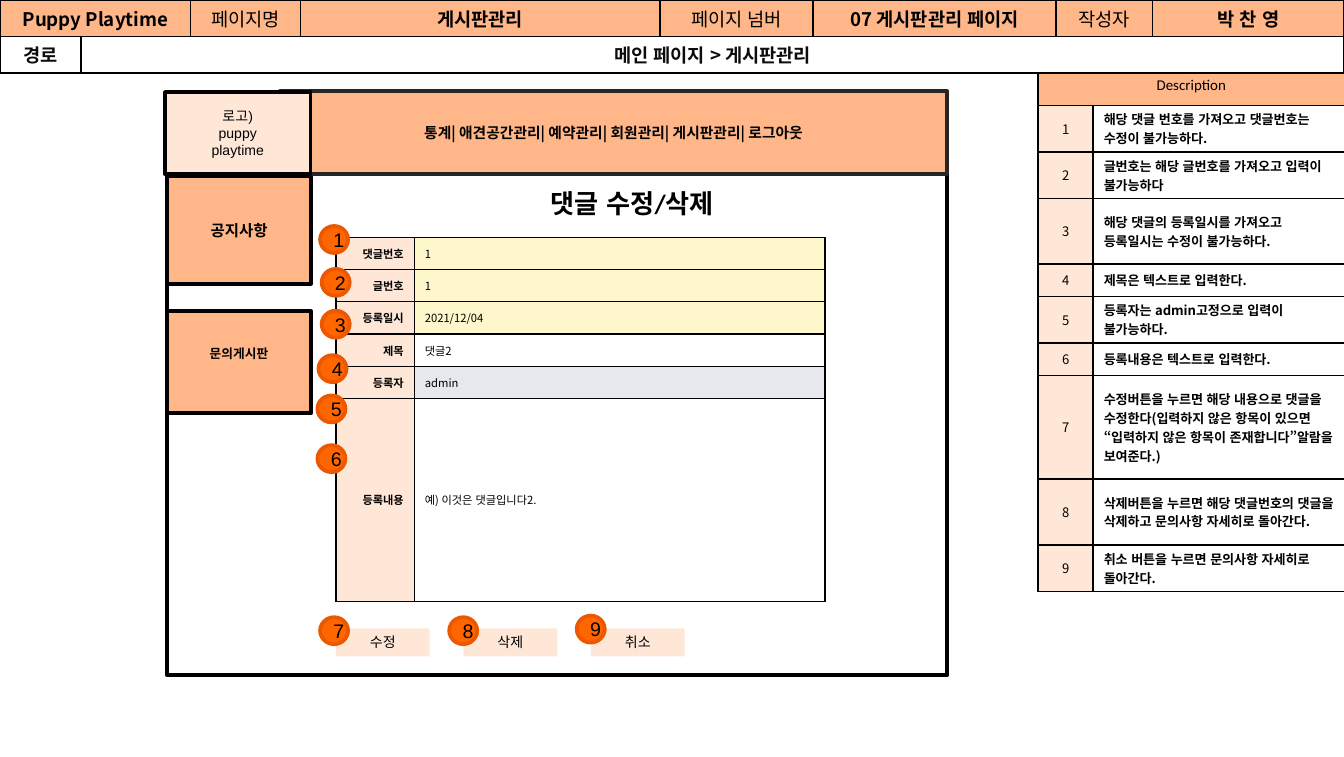
from dataclasses import dataclass

from lxml import etree
from pptx import Presentation
from pptx.dml.color import RGBColor
from pptx.enum.lang import MSO_LANGUAGE_ID
from pptx.enum.shapes import MSO_SHAPE
from pptx.enum.text import MSO_ANCHOR, PP_ALIGN
from pptx.oxml.ns import qn
from pptx.slide import Slide
from pptx.util import Cm, Pt

RECTANGLE, OVAL = MSO_SHAPE.RECTANGLE, MSO_SHAPE.OVAL
LEFT, CENTER, RIGHT = PP_ALIGN.LEFT, PP_ALIGN.CENTER, PP_ALIGN.RIGHT
TOP, MIDDLE = MSO_ANCHOR.TOP, MSO_ANCHOR.MIDDLE
KOREAN = MSO_LANGUAGE_ID.KOREAN
KOREAN_FONT = "Noto Sans CJK KR"

DESCRIPTIONS = [
    "해당 댓글 번호를 가져오고 댓글번호는 수정이 불가능하다.",
    "글번호는 해당 글번호를 가져오고 입력이 불가능하다",
    "해당 댓글의 등록일시를 가져오고 등록일시는 수정이 불가능하다.",
    "제목은 텍스트로 입력한다.",
    "등록자는 admin고정으로 입력이 불가능하다.",
    "등록내용은 텍스트로 입력한다.",
    "수정버튼을 누르면 해당 내용으로 댓글을 수정한다(입력하지 않은 항목이 있으면 "
    "“입력하지 않은 항목이 존재합니다”알람을 보여준다.)",
    "삭제버튼을 누르면 해당 댓글번호의 댓글을 삭제하고 문의사항 자세히로 돌아간다.",
    "취소 버튼을 누르면 문의사항 자세히로 돌아간다.",
]
DESCRIPTION_HEIGHTS = [0.74, 0.88, 0.88, 1.24, 0.61, 0.88, 0.61, 1.96, 1.24, 0.88]
MARKERS = [(6.05, 4.27), (6.08, 5.08), (6.08, 5.87), (6.02, 6.71), (6.0, 7.47),
           (6.0, 8.41), (6.05, 11.66), (8.49, 11.66), (10.9, 11.63)]


def rgb(color):
    """Return the colour for a hex string."""
    return RGBColor.from_string(color)


def write(frame, text, size=8, font=KOREAN_FONT, color="000000", bold=False, align=CENTER):
    """Write each line of text as a formatted paragraph."""
    for index, line in enumerate(text.split("\n")):
        paragraph = frame.add_paragraph() if index else frame.paragraphs[0]
        paragraph.alignment = align
        run = paragraph.add_run()
        run.text = line
        run.font.size, run.font.name, run.font.bold = Pt(size), font, bold
        run.font.color.rgb = rgb(color)
        run.font.language_id = KOREAN
        etree.SubElement(run.font._element, qn("a:ea"), typeface=KOREAN_FONT)


def set_margins(target, side, vertical):
    """Set the inner margins of a cell or text frame."""
    target.margin_left = target.margin_right = Cm(side)
    target.margin_top = target.margin_bottom = Cm(vertical)


def set_borders(cell, color, width):
    """Draw all four borders of a table cell."""
    properties = cell._tc.get_or_add_tcPr()
    for side in ("a:lnL", "a:lnR", "a:lnT", "a:lnB"):
        line = etree.SubElement(properties, qn(side), w=str(Pt(width)))
        fill = etree.SubElement(line, qn("a:solidFill"))
        etree.SubElement(fill, qn("a:srgbClr"), val=color)


@dataclass
class Wireframe:
    """Hold the style and the current slide."""

    slide: Slide
    black: str = "000000"
    white: str = "FFFFFF"
    orange: str = "FFB689"
    peach: str = "FFE7D8"
    yellow: str = "FFF7CC"
    gray: str = "E6E8EE"

    def box(self, left, top, width, height, fill, text="", line=None, kind=RECTANGLE,
            bottom=0.1, **style):
        """Add a filled shape with optional outline and text."""
        shape = self.slide.shapes.add_shape(kind, Cm(left), Cm(top), Cm(width), Cm(height))
        shape.shadow.inherit = False
        shape.fill.solid()
        shape.fill.fore_color.rgb = rgb(fill)
        if line:
            shape.line.color.rgb = rgb(line)
            shape.line.width = Pt(2)
        else:
            shape.line.fill.background()
        frame = shape.text_frame
        frame.word_wrap = True
        frame.vertical_anchor = MIDDLE
        set_margins(frame, 0.2, 0.1)
        frame.margin_bottom = Cm(bottom)
        if text:
            write(frame, text, **style)

    def marker(self, number, left, top):
        """Add a numbered round marker."""
        self.box(left, top, 0.53, 0.51, "FF6600", str(number), "EB5800", OVAL,
                 size=10.5, font="Arial")

    def table(self, left, top, widths, heights, rows, merges=(), margins=(0.2, 0.1),
              border=1, anchors=None):
        """Add a table whose cells are (text, fill, format) triples."""
        frame = self.slide.shapes.add_table(len(heights), len(widths), Cm(left), Cm(top),
                                            Cm(sum(widths)), Cm(sum(heights)))
        table = frame.table
        table.first_row = table.horz_banding = False
        for column, width in zip(table.columns, widths):
            column.width = Cm(width)
        for row, height in zip(table.rows, heights):
            row.height = Cm(height)
        for row_index, first, last in merges:
            table.cell(row_index, first).merge(table.cell(row_index, last))
        for row_index, row in enumerate(rows):
            for column_index, (text, fill, style) in enumerate(row):
                cell = table.cell(row_index, column_index)
                set_borders(cell, self.black, border)
                cell.fill.solid()
                cell.fill.fore_color.rgb = rgb(fill)
                cell.vertical_anchor = anchors[row_index] if anchors else MIDDLE
                set_margins(cell, *margins)
                if text:
                    write(cell.text_frame, text, **style)

    def title(self, left, top, width, height, text, **style):
        """Add an unwrapped heading."""
        frame = self.slide.shapes.add_textbox(Cm(left), Cm(top), Cm(width), Cm(height)).text_frame
        frame.word_wrap = False
        write(frame, text, **style)


def add_descriptions(page):
    """Add the numbered description table."""
    rows = [[("Description", page.orange, {"font": "Calibri"}), ("", page.orange, {})]]
    for number, text in enumerate(DESCRIPTIONS, 1):
        rows.append([(str(number), page.peach, {"size": 7}),
                     (text, page.white, {"size": 7, "bold": True, "align": LEFT})])
    page.table(19.62, 1.25, [1.04, 4.75], DESCRIPTION_HEIGHTS, rows,
               merges=[(0, 0, 1)], margins=(0.2, 0.07))


def add_screen(page):
    """Add the screen layout with its menus."""
    page.box(3.16, 3.29, 14.74, 9.47, page.white, line=page.black)
    page.box(3.16, 5.88, 2.72, 1.93, page.orange, "문의게시판", page.black,
             bottom=0.44, size=6.8, font="Arial", bold=True)
    page.box(3.16, 3.33, 2.72, 2.03, page.orange, "공지사항", page.black, size=8.3, bold=True)
    page.box(5.29, 1.72, 12.61, 1.57, page.orange,
             "통계| 애견공간관리| 예약관리| 회원관리| 게시판관리| 로그아웃", "262626",
             size=7.9, bold=True)
    page.box(3.12, 1.74, 2.75, 1.55, page.peach, "로고)\npuppy\nplaytime", page.black,
             size=7.5, font="Arial")


def add_form(page):
    """Add the comment form, its buttons and the markers."""
    fields = [("댓글번호", "1", page.yellow), ("글번호", "1", page.yellow),
              ("등록일시", "2021/12/04", page.yellow), ("제목", "댓글2", page.white),
              ("등록자", "admin", page.gray), ("등록내용", "예) 이것은 댓글입니다2.", page.white)]
    rows = [[(label, page.peach, {"size": 6, "bold": True, "align": RIGHT}),
             (value, fill, {"size": 6, "align": LEFT})] for label, value, fill in fields]
    page.table(6.35, 4.48, [1.48, 7.76], [0.61] * 5 + [3.83], rows, border=0.75)
    for index, label in enumerate(["수정", "삭제", "취소"]):
        page.box(6.35 + 2.41 * index, 11.87, 1.77, 0.53, page.peach, label,
                 size=7.5, font="Times New Roman")
    for number, (left, top) in enumerate(MARKERS, 1):
        page.marker(number, left, top)


def add_header(page):
    """Add the page information table."""
    labels = ["Puppy Playtime", "", "페이지명", "게시판관리", "페이지 넘버",
              "07 게시판관리 페이지", "작성자", "박 찬 영"]
    plain = {"페이지명", "페이지 넘버", "작성자"}
    information = [(label, page.orange, {"size": 10, "bold": label not in plain})
                   for label in labels]
    route = [(label, page.white, {"size": 10, "bold": True, "color": "0C0C0C"})
             for label in ["경로", "메인 페이지 > 게시판관리"] + [""] * 6]
    page.table(0, 0, [1.53, 2.07, 2.08, 6.79, 2.9, 4.59, 1.82, 3.62], [0.61] * 2,
               [information, route], merges=[(0, 0, 1), (1, 1, 7)],
               margins=(0.23, 0.09), anchors=[TOP, MIDDLE])


def main():
    """Build and save the presentation."""
    presentation = Presentation()
    presentation.slide_width, presentation.slide_height = Cm(25.4), Cm(14.3)
    page = Wireframe(presentation.slides.add_slide(presentation.slide_layouts[6]))
    add_descriptions(page)
    add_screen(page)
    add_form(page)
    add_header(page)
    page.title(10.16, 3.41, 3.84, 0.86, "댓글 수정/삭제", size=14, font="Calibri",
               bold=True, align=LEFT)
    presentation.save("out.pptx")


if __name__ == "__main__":
    main()
